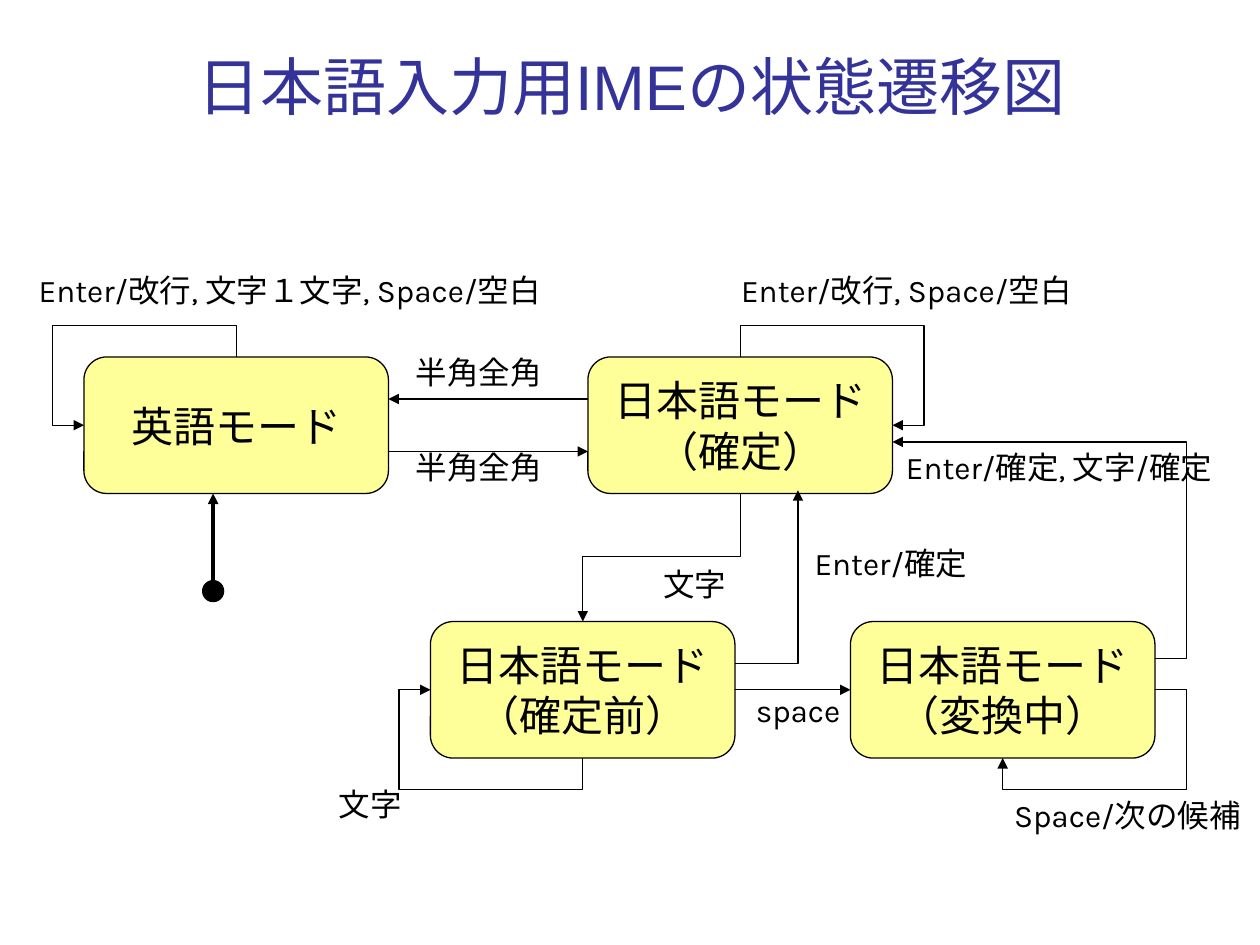
from lxml.etree import SubElement
from pptx import Presentation
from pptx.dml.color import RGBColor
from pptx.enum.lang import MSO_LANGUAGE_ID
from pptx.enum.shapes import MSO_CONNECTOR, MSO_SHAPE
from pptx.enum.text import MSO_ANCHOR, MSO_AUTO_SIZE, PP_ALIGN
from pptx.oxml.ns import qn
from pptx.util import Inches, Pt

BLACK = RGBColor(0x00, 0x00, 0x00)
INDIGO = RGBColor(0x33, 0x33, 0x99)
YELLOW = RGBColor(0xFF, 0xFF, 0x99)

COLUMNS, ROWS = 120, 90
SLIDE_WIDTH, SLIDE_HEIGHT = Inches(10), Inches(7.5)
STATE_COLUMNS, STATE_ROWS = 29, 13
TOP_ROW, BOTTOM_ROW = 34, 59.2

TITLE_FORMAT = {"name": "Arial", "size": Pt(36)}
STATE_FORMAT = {"name": "Karla", "size": Pt(24)}
LABEL_FORMAT = {"name": "Karla", "size": Pt(18)}

STATES = {
    "english": (8, TOP_ROW, ["英語モード"]),
    "fixed": (56, TOP_ROW, ["日本語モード", "（確定）"]),
    "typing": (41, BOTTOM_ROW, ["日本語モード", "（確定前）"]),
    "converting": (81, BOTTOM_ROW, ["日本語モード", "（変換中）"]),
}

# Corner points of each transition, as (column, row)
ROUTES = [
    [(22.5, 34), (22.5, 31), (5, 31), (5, 40.5), (8, 40.5)],
    [(70.5, 34), (70.5, 31), (88, 31), (88, 40.5), (85, 40.5)],
    [(70.5, 47), (70.5, 53), (55.5, 53), (55.5, 59.2)],
    [(55.5, 72.2), (55.5, 75.2), (38, 75.2), (38, 65.7), (41, 65.7)],
    [(110, 65.7), (113, 65.7), (113, 75.2), (95.5, 75.2), (95.5, 72.2)],
    [(70, 63.2), (76, 63.2), (76, 46.7)],
    [(110, 62.7), (113, 62.7), (113, 42.1), (85, 42.1)],
]

# Column, row, width in columns, wrapped, text
LABELS = [
    (2.5, 25.2, 54.2, False, "Enter/改行, 文字１文字, Space/空白"),
    (69.4, 25.2, 36.2, False, "Enter/改行, Space/空白"),
    (38.4, 33, 14.4, False, "半角全角"),
    (38.4, 42.1, 14.4, False, "半角全角"),
    (85.1, 42.1, 35.3, False, "Enter/確定, 文字/確定"),
    (76.4, 51.2, 17.8, False, "Enter/確定"),
    (62, 53.2, 8.4, False, "文字"),
    (70.8, 65.2, 11, False, "space"),
    (31.1, 74.2, 8.4, False, "文字"),
    (95.4, 75.2, 24.5, True, "Space/次の候補"),
]


def across(columns):
    return round(SLIDE_WIDTH * columns / COLUMNS)


def down(rows):
    return round(SLIDE_HEIGHT * rows / ROWS)


def grid_box(column, row, columns, rows):
    return across(column), down(row), across(columns), down(rows)


def write(frame, lines, formats, color=BLACK, align=PP_ALIGN.LEFT):
    for index, line in enumerate(lines):
        para = frame.paragraphs[0] if index == 0 else frame.add_paragraph()
        para.alignment = align
        span = para.add_run()
        span.text = line
        for name, value in formats.items():
            setattr(span.font, name, value)
        span.font.language_id = MSO_LANGUAGE_ID.JAPANESE
        span.font.color.rgb = color


def add_title(page, text):
    title = page.shapes.title
    title.left, title.top, title.width, title.height = grid_box(6.1, 0.6, 108, 15)
    title.text_frame.vertical_anchor = MSO_ANCHOR.MIDDLE
    write(title.text_frame, [text], TITLE_FORMAT, INDIGO, PP_ALIGN.CENTER)


def add_outlined(page, kind, box, fill):
    shape = page.shapes.add_shape(kind, *box)
    shape.shadow.inherit = False
    shape.fill.solid()
    shape.fill.fore_color.rgb = fill
    shape.line.color.rgb = BLACK
    shape.line.width = Pt(0.75)
    return shape


def add_state(page, column, row, lines):
    box = grid_box(column, row, STATE_COLUMNS, STATE_ROWS)
    state = add_outlined(page, MSO_SHAPE.ROUNDED_RECTANGLE, box, YELLOW)
    state.text_frame.word_wrap = False
    state.text_frame.vertical_anchor = MSO_ANCHOR.MIDDLE
    write(state.text_frame, lines, STATE_FORMAT, align=PP_ALIGN.CENTER)
    return state


def add_label(page, column, row, columns, wrapped, text):
    label = page.shapes.add_textbox(*grid_box(column, row, columns, 4.8))
    label.text_frame.word_wrap = wrapped
    label.text_frame.auto_size = MSO_AUTO_SIZE.SHAPE_TO_FIT_TEXT
    write(label.text_frame, [text], LABEL_FORMAT)


def add_arrow(page, kind, begin, end, width=0.75):
    arrow = page.shapes.add_connector(
        kind, across(begin[0]), down(begin[1]), across(end[0]), down(end[1]))
    arrow.line.color.rgb = BLACK
    arrow.line.width = Pt(width)
    properties = arrow._element.spPr
    SubElement(properties.find(qn("a:ln")), qn("a:tailEnd"), type="triangle")
    SubElement(properties, qn("a:effectLst"))
    return arrow


def add_route(page, points):
    """Draw an elbow arrow; one that leaves vertically is turned a quarter."""
    begin, end = points[0], points[-1]
    span_x, span_y = end[0] - begin[0], end[1] - begin[1]
    vertical = begin[0] == points[1][0]
    start, finish = begin, end
    if vertical:
        center_x, center_y = (begin[0] + end[0]) / 2, (begin[1] + end[1]) / 2
        start = (center_x - span_y / 2, center_y + span_x / 2)
        finish = (center_x + span_y / 2, center_y - span_x / 2)
    arrow = add_arrow(page, MSO_CONNECTOR.ELBOW, start, finish)
    properties = arrow._element.spPr
    if vertical:
        properties.find(qn("a:xfrm")).set("rot", "5400000")
    geometry = properties.find(qn("a:prstGeom"))
    geometry.set("prst", f"bentConnector{len(points) - 1}")
    adjustments = geometry.find(qn("a:avLst"))
    for number, corner in enumerate(points[1:-2], start=1):
        along_y = vertical == (number % 2 == 1)
        share = ((corner[1] - begin[1]) / span_y if along_y
                 else (corner[0] - begin[0]) / span_x)
        SubElement(adjustments, qn("a:gd"), name=f"adj{number}",
                   fmla=f"val {round(share * 100000)}")


def add_start(page):
    """Place the initial dot and its heavy arrow into the first state."""
    dot = add_outlined(page, MSO_SHAPE.OVAL, grid_box(19.3, 55.3, 2, 2), BLACK)
    arrow = add_arrow(page, MSO_CONNECTOR.STRAIGHT, (20.3, 55.3), (20.3, 47), 2)
    arrow.begin_connect(dot, 0)


def add_diagram(page):
    states = {name: add_state(page, *state) for name, state in STATES.items()}
    add_arrow(page, MSO_CONNECTOR.STRAIGHT, (37, 43), (56, 43))
    add_arrow(page, MSO_CONNECTOR.STRAIGHT, (56, 38), (37, 38))
    space = add_arrow(page, MSO_CONNECTOR.STRAIGHT, (70, 65.7), (81, 65.7))
    space.begin_connect(states["typing"], 3)
    space.end_connect(states["converting"], 1)
    for points in ROUTES:
        add_route(page, points)
    for label in LABELS:
        add_label(page, *label)
    add_start(page)


def main():
    deck = Presentation()
    deck.slide_width, deck.slide_height = SLIDE_WIDTH, SLIDE_HEIGHT
    page = deck.slides.add_slide(deck.slide_layouts[5])
    add_title(page, "日本語入力用IMEの状態遷移図")
    add_diagram(page)
    deck.save("out.pptx")


if __name__ == "__main__":
    main()
